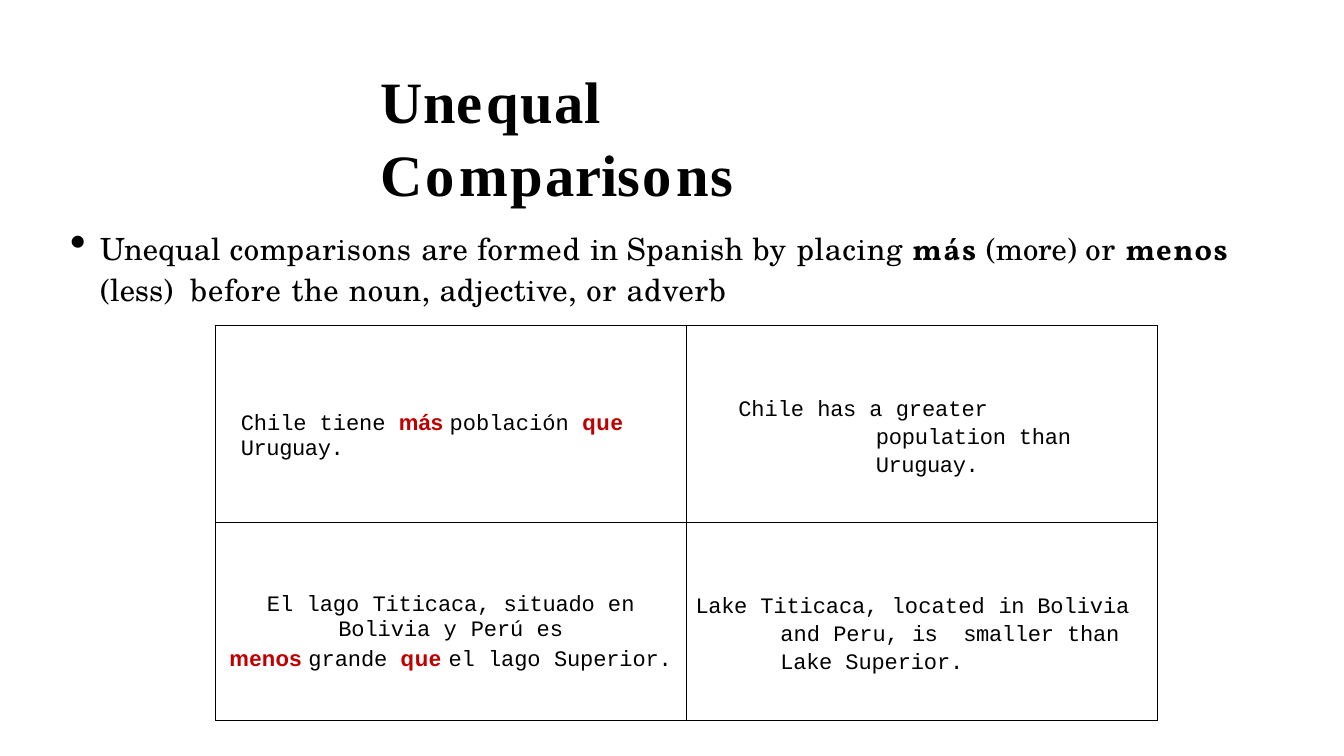
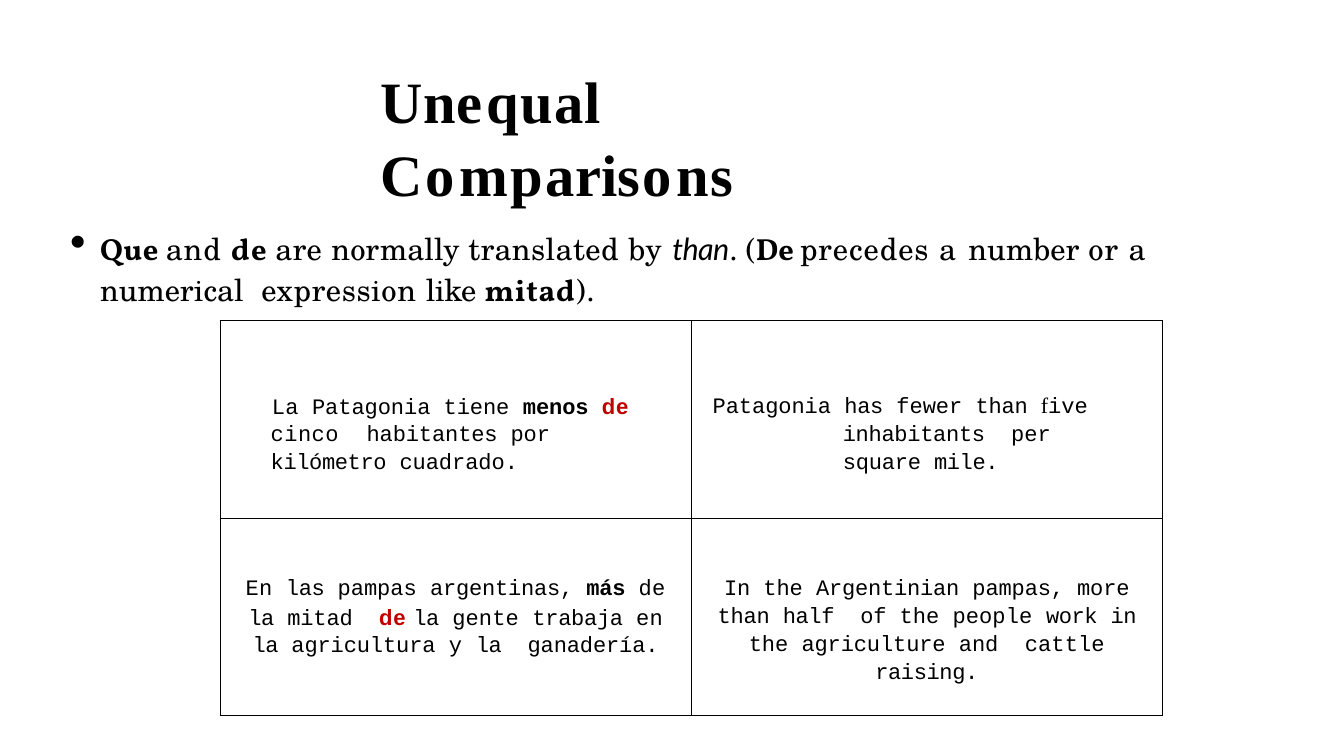
"""Build two slides on unequal comparisons in Spanish."""
from pptx import Presentation
from pptx.dml.color import RGBColor
from pptx.enum.text import MSO_ANCHOR as Anchor, MSO_AUTO_SIZE as Fit, PP_ALIGN as Align
from pptx.oxml import parse_xml
from pptx.oxml.ns import nsdecls
from pptx.util import Inches, Pt

WIDE, HIGH = 21.99, 12.37
COL, ROW = 7.71, 3.23
BLACK, RED = "000000", "C00000"

FONTS = {
    "title": dict(name="Times New Roman", size=Pt(69), bold=True),
    "body": dict(name="TeX Gyre Schola", size=Pt(36), bold=False),
    "key": dict(name="Vollkorn", size=Pt(36), bold=True),
    "term": dict(name="Lato", size=Pt(36), bold=False, italic=True),
    "cell": dict(name="Courier New", size=Pt(26), bold=False),
    "bold": dict(name="Courier New", size=Pt(26), bold=True),
    "red": dict(name="Arial", size=Pt(26), bold=True),
    "serif": dict(name="Times New Roman", size=Pt(26), bold=False),
}

TITLE = [("U", .8), ("n", 1.3), ("e", 4.4), ("q", 2.1), ("u", 1.1), ("al ", .5),
         ("C", 3.6), ("o", 5.5), ("m", 3), ("p", 2.4), ("a", .5), ("r", -2.5),
         ("i", .2), ("s", 2.1), ("o", 5.5), ("n", 2.5), ("s", 2.9)]

MORE = [("Unequal ", .2), ("comparisons ", .8), ("are ", .5), ("formed ", .9),
        ("in ", -.3), ("Spanish ", .4), ("by ", 1.1), ("placing ", .7),
        ("más ", 2.1, "key"), ("(more) ", -.1), ("or ", 1.1),
        ("menos ", 1.9, "key"), ("(less)  ", -.1), ("before ", 1.2),
        ("the ", .9), ("noun, adjective, ", .5), ("or ", 1.1), ("adverb", .8)]

THAN = [("Que ", .7, "key"), ("and ", 1.1), ("de ", 1.5, "key"), ("are ", .5),
        ("normally ", .2), ("translated ", .5), ("by ", 1.1),
        ("than", -.7, "term"), (". ", -.7), ("(", 0), ("De ", 0, "key"),
        ("precedes ", 1.1), ("a ", 2.2), ("number ", .2), ("or ", 1.1),
        ("a ", 2.2), ("numerical  ", .1), ("expression ", .7), ("like ", -.5),
        ("mitad", .9, "key"), (").", .9)]

CHILE = [("Chile tiene ", -.1), ("más ", .1, "red"), ("población ", 0),
         ("que ", .7, "red"), ("Uruguay.", -.5)]
CHILE_EN = [("Chile ", -.1), ("has ", -.4), ("a greater ", -.1),
            ("population than  ", -.3), ("Uruguay.", -.5)]
LAGO = [("El ", 0), ("lago ", -.1), ("Titicaca, ", -.2), ("situado ", -.3),
        ("en ", .1), ("Bolivia ", -.1), ("y ", .3), ("Perú ", -.1), ("es", 0)]
LAGO_END = [("menos ", .3, "red"), ("grande ", -.1), ("que ", .7, "red"),
            ("el lago ", -.1), ("Superior.", -.2)]
LAKE = [("Lake ", -.4), ("Titicaca, ", -.2), ("located ", .1), ("in ", -.6),
        ("Bolivia and ", -.1), ("Peru, ", -.2), ("is  ", -.7), ("smaller ", -.4),
        ("than ", -.3), ("Lake ", -.4), ("Superior.", -.2)]
PATA = [("La ", .1), ("Patagonia tiene ", -.1), ("menos ", -.1, "bold"),
        ("de ", .9, "red"), ("cinco  ", .5), ("habitantes por ", -.2),
        ("kilómetro ", -.5), ("cuadrado.", -.1)]
PATA_EN = [("Patagonia ", -.1), ("has ", -.4), ("fewer ", -.1), ("than ", -.3),
           ("f", 0, "serif"), ("ive ", 0), ("inhabitants  ", -.4), ("per ", -.1),
           ("square ", -.3), ("mile.", -.5)]
PAMPAS = [("En ", .2), ("las ", -.5), ("pampas ", -.1), ("argentinas, ", -.3),
          ("más ", -.3, "bold"), ("de ", .3), ("la ", -.5), ("mitad  ", -.2),
          ("de ", .9, "red"), ("la ", -.5), ("gente ", .1), ("trabaja ", -.4),
          ("en ", .1), ("la ", -.5), ("agricultura ", -.2), ("y ", .3),
          ("la  ", -.5), ("ganadería.", -.2)]
PAMPAS_EN = [("In ", -.3), ("the ", -.1), ("Argentinian ", -.3),
             ("pampas, more ", -.2), ("than ", -.3), ("half  ", -.5), ("of ", -.2),
             ("the ", -.1), ("people ", .1), ("work ", -.5), ("in ", -.6),
             ("the ", -.1), ("agriculture ", -.2), ("and  ", -.1), ("cattle ", .1),
             ("raising.", -.5)]

LOOSE = dict(line_spacing=1.11)
MID = dict(alignment=Align.CENTER)
BOTH = {**LOOSE, **MID}
SLIDES = [
    dict(lead=MORE, wide=19.56, at=(3.52, 5.32), cells=[
        [dict(text=[CHILE], top=1.39, dent=(.42, 0)),
         dict(text=[CHILE_EN], top=1.15, side=(0, .8), dent=(3.1, -2.25), form=LOOSE)],
        [dict(text=[LAGO, LAGO_END], top=1.16, form=MID),
         dict(text=[LAKE], top=1.15, dent=(1.54, -1.39), form=LOOSE)]]),
    dict(lead=THAN, wide=19.43, at=(3.6, 5.25), cells=[
        [dict(text=[PATA], top=1.15, side=(0, .8), dent=(.83, .02), form=LOOSE),
         dict(text=[PATA_EN], top=1.15, side=(0, .8), dent=(2.48, -2.13), form=LOOSE)],
        [dict(text=[PAMPAS], top=.92, side=(.22, .22), form=BOTH),
         dict(text=[PAMPAS_EN], top=.92, side=(.25, .25), form=BOTH)]]),
]


def put(thing, **vals):
    """Set attributes from format values."""
    for key, val in vals.items():
        setattr(thing, key, val)


def color(code):
    """Turn a hex string into a colour."""
    return RGBColor.from_string(code)


def write(para, runs, base, dent=(0, 0), **form):
    """Fill a paragraph with styled, letter-spaced runs."""
    put(para, **form)
    props = para._p.get_or_add_pPr()
    for key, size in zip(("marL", "indent"), dent):
        props.set(key, str(Inches(size)))
    for text, gap, *style in runs:
        name = style[0] if style else base
        run = para.add_run()
        run.text = text
        put(run.font, **FONTS[name])
        run.font.color.rgb = color(RED if name == "red" else BLACK)
        run._r.get_or_add_rPr().set("spc", str(round(gap * 100)))


def place(shape, left, top, wide, high, inset):
    """Position a text shape and give back its first paragraph."""
    put(shape, left=Inches(left), top=Inches(top), width=Inches(wide), height=Inches(high))
    frame = shape.text_frame
    put(frame, word_wrap=True, auto_size=Fit.SHAPE_TO_FIT_TEXT, vertical_anchor=Anchor.TOP,
        margin_left=0, margin_right=0, margin_bottom=0, margin_top=Inches(inset))
    return frame.paragraphs[0]


def bullet(para):
    """Add a large round bullet."""
    props = para._p.get_or_add_pPr()
    for tag in ('buSzPct {} val="151000"', 'buChar {} char="•"'):
        props.append(parse_xml("<a:" + tag.format(nsdecls("a")) + "/>"))


def edge(cell):
    """Draw thin black borders around a cell."""
    props = cell._tc.get_or_add_tcPr()
    for spot, side in enumerate("LRTB"):
        props.insert(spot, parse_xml(
            f'<a:ln{side} {nsdecls("a")} w="{Pt(1)}"><a:solidFill>'
            f'<a:srgbClr val="{BLACK}"/></a:solidFill></a:ln{side}>'))


def fill(cell, text, top, side=(0, 0), dent=(0, 0), form={}):
    """Write the paragraphs of one table cell."""
    left, right = side
    put(cell, margin_left=Inches(left), margin_right=Inches(right),
        margin_top=Inches(top), margin_bottom=0, vertical_anchor=Anchor.TOP)
    cell.fill.background()
    edge(cell)
    frame = cell.text_frame
    for spot, runs in enumerate(text):
        para = frame.add_paragraph() if spot else frame.paragraphs[0]
        write(para, runs, "cell", dent, space_before=Pt(3.5 if spot else 0), **form)


def build(deck, lead, wide, at, cells):
    """Add one slide with title, rule and table of examples."""
    slide = deck.slides.add_slide(deck.slide_layouts[5])
    para = place(slide.shapes.title, 6.21, .92, 9.57, 1.18, .09)
    write(para, TITLE, "title", (.01, 0), alignment=Align.LEFT,
          line_spacing=1.04, space_before=Pt(1.2))
    box = slide.shapes.add_textbox(0, 0, 0, 0)
    para = place(box, 1.13, 3.67, wide, 1.39, .01)
    write(para, lead, "body", (.51, -.49), line_spacing=1.13, space_before=Pt(.9))
    bullet(para)
    rows, cols = len(cells), len(cells[0])
    spot = [Inches(size) for size in (*at, cols * COL, rows * ROW)]
    table = slide.shapes.add_table(rows, cols, *spot).table
    put(table, first_row=False, horz_banding=False)
    for row, line in enumerate(cells):
        for col, item in enumerate(line):
            fill(table.cell(row, col), **item)


deck = Presentation()
put(deck, slide_width=Inches(WIDE), slide_height=Inches(HIGH))
for item in SLIDES:
    build(deck, **item)
deck.save("out.pptx")
